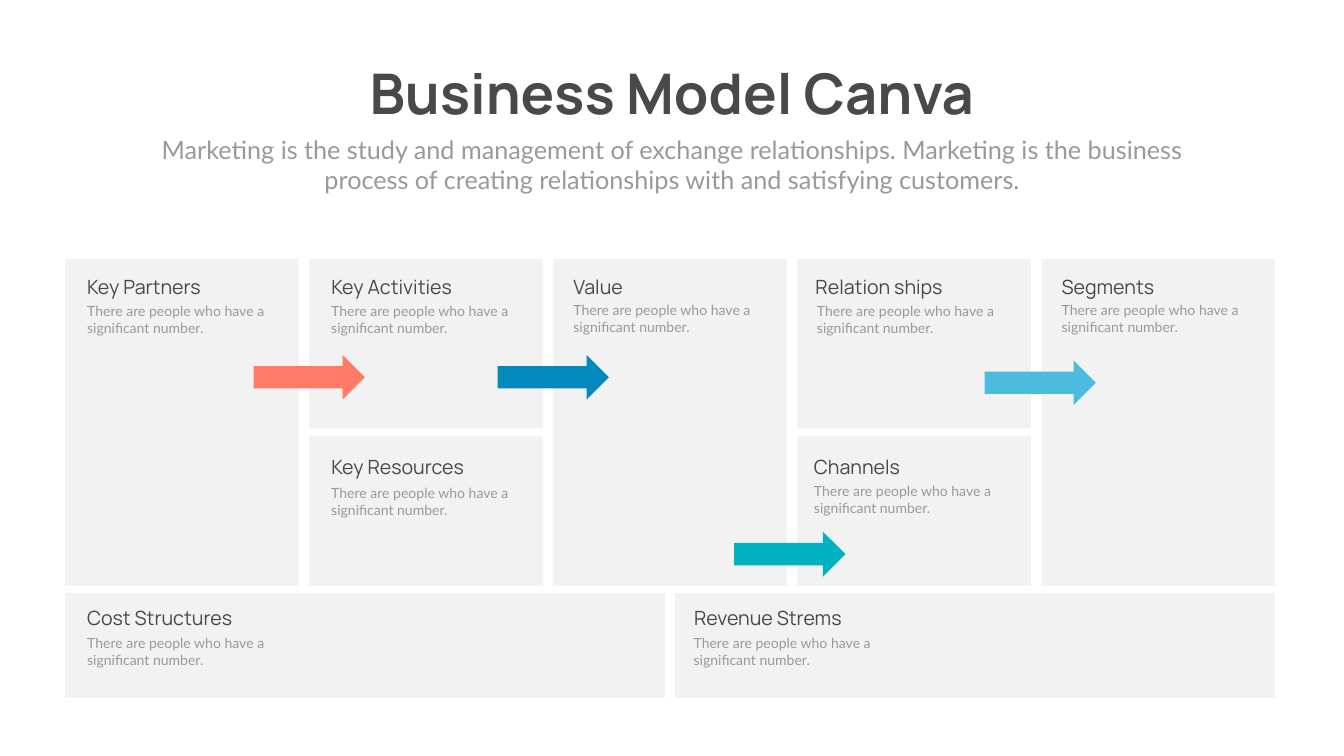
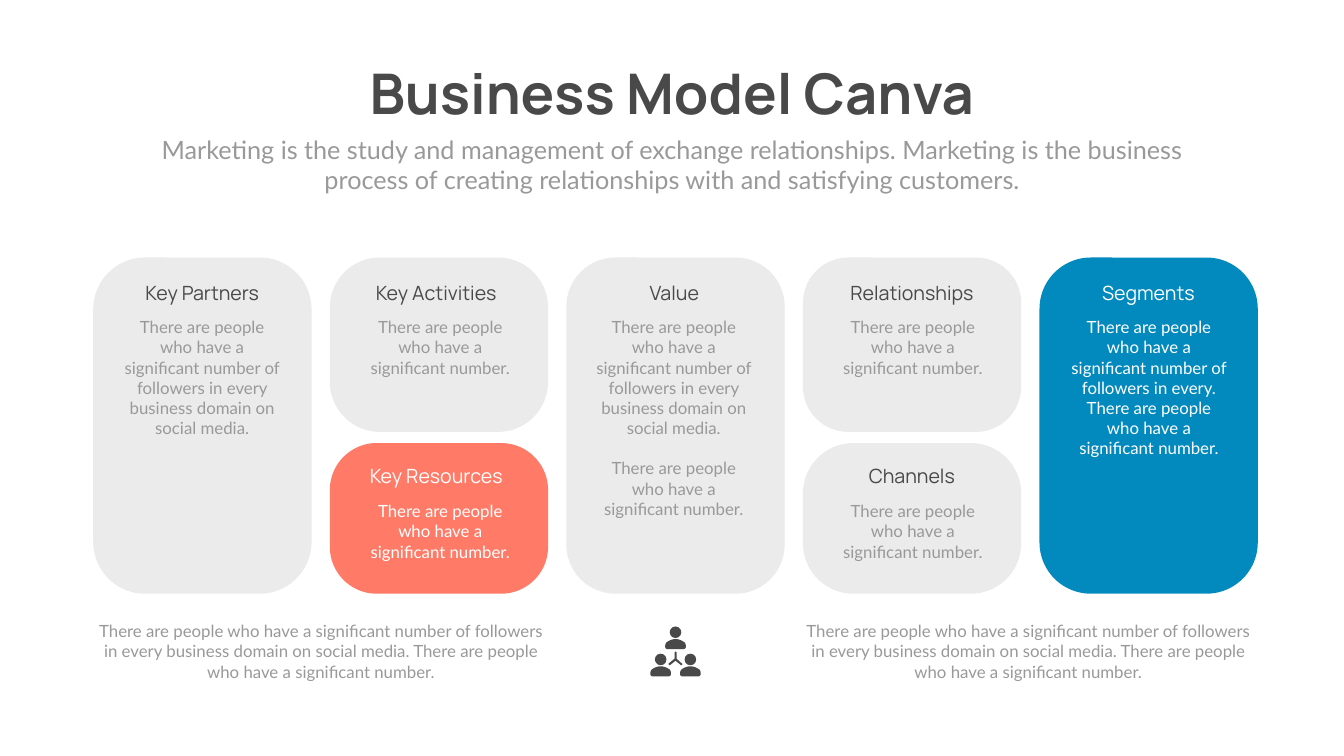
from pptx import Presentation
from pptx.dml.color import RGBColor
from pptx.enum.shapes import MSO_SHAPE
from pptx.enum.text import MSO_AUTO_SIZE, PP_ALIGN
from pptx.util import Pt

PX = 9144  # EMU per px, 100 px to the inch
COLORS = {
    "white": "FFFFFF", "dark": "494949", "grey": "999999",
    "panel": "F2F2F2", "card": "EBEBEB", "coral": "FF7A67",
    "blue": "0289BD", "teal": "01B2C0", "sky": "4BBBDF",
}
HEADING_FONT, BODY_FONT = "Manrope", "Lato"
COLUMNS = 5

HEADLINE = "Business Model Canva"
INTRO = ("Marketing is the study and management of exchange relationships. Marketing is "
         "the business process of creating relationships with and satisfying customers.")
SHORT = "There are people who have a significant number."
LONG = ("There are people who have a significant number of followers "
        "in every business domain on social media.")
SEGMENT_TEXT = ("There are people who have a significant number of followers in every. " + SHORT)

# Row span: (top, height) within the canvas
PANEL_ROWS = {"full": (0, 648), "upper": (0, 336), "lower": (352, 296)}
CARD_ROWS = {"full": (0, 667), "upper": (0, 346), "lower": (368, 299)}

# column, row, title, title left, title top, title width, body left, body top
PANELS = [
    (0, "full", "Key Partners", 34, 27, 302, 34, 82),
    (1, "upper", "Key Activities", 34, 27, 345, 34, 82),
    (1, "lower", "Key Resources", 34, 32, 348, 34, 90),
    (2, "full", "Value", 30, 27, 239, 30, 79),
    (3, "upper", "Relation ships", 26, 27, 345, 29, 82),
    (3, "lower", "Channels", 23, 32, 241, 23, 87),
    (4, "full", "Segments", 30, 27, 239, 30, 79),
]
# title, title left, body left
FOOT_PANELS = [("Cost Structures", 34, 34), ("Revenue Strems", 28, 27)]
# left and top within the canvas, colour
ARROWS = [(374, 190, "coral"), (858, 190, "blue"), (1327, 541, "teal"), (1824, 201, "sky")]

# column, row, title, paragraphs, fill, corner
CARDS = [
    (0, "full", "Key Partners", [LONG], "card", 0.237),
    (1, "upper", "Key Activities", [SHORT], "card", 0.287),
    (1, "lower", "Key Resources", [SHORT], "coral", 0.312),
    (2, "full", "Value", [LONG, SHORT], "card", 0.225),
    (3, "upper", "Relationships", [SHORT], "card", 0.26),
    (3, "lower", "Channels", [SHORT], "card", 0.335),
    (4, "full", "Segments", [SEGMENT_TEXT], "blue", 0.235),
]
# Title and body left within a card, by column
CARD_INSETS = [(64, 51), (59, 54), (62, 48), (64, 53), (64, 52)]

# Outlines: a start, then lines (one point) and curves (three points)
TORSO = [
    [(5, 20)], [(36, 20)], [(39, 20), (41, 18), (41, 15)], [(41, 14)],
    [(41, 10), (39, 6), (36, 5)], [(33, 3), (27, 0), (20.5, 0)],
    [(14, 0), (8, 3), (5, 5)], [(2, 6), (0, 10), (0, 14)], [(0, 15)],
    [(0, 18), (2, 20), (5, 20)],
]
LINK = [
    [(25, 27)], [(26, 27), (26, 26), (27, 26)], [(28, 25), (27, 23), (26, 23)],
    [(16, 14)], [(16, 2)], [(16, 1), (15, 0), (14, 0)], [(13, 0), (12, 1), (12, 2)],
    [(12, 14)], [(1, 23)], [(0, 23), (0, 25), (1, 26)], [(1, 26), (2, 27), (3, 27)],
    [(3, 27), (4, 26), (4, 26)], [(14, 18)], [(24, 26)], [(24, 26), (24, 27), (25, 27)],
]


def emu(*lengths):
    return [round(length * PX) for length in lengths]


def paint(shape, color):
    shape.shadow.inherit = False
    shape.fill.solid()
    shape.fill.fore_color.rgb = RGBColor.from_string(COLORS[color])
    shape.line.fill.background()


def add_block(slide, kind, box, color, corner=None):
    block = slide.shapes.add_shape(kind, *emu(*box))
    paint(block, color)
    if corner is not None:
        block.adjustments[0] = corner


def add_text(slide, box, paragraphs, size, font, color, align=PP_ALIGN.LEFT,
             bold=False, wrap=True):
    frame = slide.shapes.add_textbox(*emu(*box)).text_frame
    frame.word_wrap = wrap
    frame.auto_size = MSO_AUTO_SIZE.SHAPE_TO_FIT_TEXT
    frame.text = "\n".join(paragraphs)
    for index, paragraph in enumerate(frame.paragraphs):
        paragraph.alignment = align
        if index:
            paragraph.space_before = Pt(size * 1.2)
        for run in paragraph.runs:
            run.font.size, run.font.name, run.font.bold = Pt(size), font, bold
            run.font.color.rgb = RGBColor.from_string(COLORS[color])


def add_heading(slide, box, title, color="dark", align=PP_ALIGN.LEFT):
    add_text(slide, box, [title], 28, HEADING_FONT, color, align)


def add_outline(slide, left, top, outline, color):
    points = []
    for segment in outline:
        if len(segment) == 1:
            points += segment
            continue
        controls = [points[-1], *segment]
        for step in range(1, 7):
            t = step / 6
            weights = ((1 - t) ** 3, 3 * t * (1 - t) ** 2, 3 * t * t * (1 - t), t ** 3)
            points.append(tuple(sum(w * c[axis] for w, c in zip(weights, controls))
                                for axis in (0, 1)))
    start, *rest = [emu(left + x, top + y) for x, y in points]
    builder = slide.shapes.build_freeform(*start)
    builder.add_line_segments(rest, close=True)
    paint(builder.convert_to_shape(), color)


def cell_box(canvas, width, rows, column, row):
    left, top, canvas_width = canvas
    row_top, height = rows[row]
    step = (canvas_width - width) / (COLUMNS - 1)
    return left + column * step, top + row_top, width, height


def add_header(slide, left, top):
    add_text(slide, (left + 381, top, 1320, 145), [HEADLINE], 80, HEADING_FONT, "dark",
             PP_ALIGN.CENTER, bold=True, wrap=False)
    add_text(slide, (left, top + 149, 2082, 131), [INTRO], 36, BODY_FONT, "grey",
             PP_ALIGN.CENTER)


def add_panel(slide, box, title, title_left, title_top, title_width,
              body_left, body_top, body_width):
    left, top = box[:2]
    add_block(slide, MSO_SHAPE.ROUNDED_RECTANGLE, box, "panel", 0)
    add_heading(slide, (left + title_left, top + title_top, title_width, 56), title)
    add_text(slide, (left + body_left, top + body_top, body_width, 77), [SHORT],
             20, BODY_FONT, "grey")


def add_panel_canvas(slide, canvas):
    left, top, width = canvas
    for column, row, *content in PANELS:
        add_panel(slide, cell_box(canvas, 463, PANEL_ROWS, column, row), *content, 384)
    # Two wide panels along the bottom
    for index, (title, title_left, body_left) in enumerate(FOOT_PANELS):
        box = (left + index * (width - 1190), top + 663, 1190, 207)
        add_panel(slide, box, title, title_left, 21, 380, body_left, 77, 435)
    # Arrows across the gaps
    for arrow_left, arrow_top, color in ARROWS:
        add_block(slide, MSO_SHAPE.RIGHT_ARROW,
                  (left + arrow_left, top + arrow_top, 221, 89), color)


def add_card_canvas(slide, canvas):
    for column, row, title, paragraphs, fill, corner in CARDS:
        box = cell_box(canvas, 433, CARD_ROWS, column, row)
        left, top = box[:2]
        title_left, body_left = CARD_INSETS[column]
        title_top, body_top = (36, 110) if row == "lower" else (41, 113)
        title_color, body_color = ("dark", "grey") if fill == "card" else ("white", "white")
        add_block(slide, MSO_SHAPE.ROUNDED_RECTANGLE, box, fill, corner)
        add_heading(slide, (left + title_left, top + title_top, 304, 57), title,
                    title_color, PP_ALIGN.CENTER)
        add_text(slide, (left + body_left, top + body_top, 330, 131), paragraphs,
                 24, BODY_FONT, body_color, PP_ALIGN.CENTER)


def add_team_icon(slide, left, top):
    for person_left, person_top in [(29.5, 0), (0, 54), (59, 54)]:
        x, y = left + person_left, top + person_top
        add_block(slide, MSO_SHAPE.OVAL, (x + 9, y, 23, 23), "dark")
        add_outline(slide, x, y + 25, TORSO, "dark")
    add_outline(slide, left + 36, top + 50, LINK, "dark")


def add_notes_row(slide, left, top):
    for note_left in (left, left + 1403):
        add_text(slide, (note_left, top, 901, 131), [f"{LONG} {SHORT}"], 24, BODY_FONT,
                 "grey", PP_ALIGN.CENTER)
    add_team_icon(slide, left + 1104, top + 16)


def add_slide(deck):
    slide = deck.slides.add_slide(deck.slide_layouts[6])
    slide.background.fill.solid()
    slide.background.fill.fore_color.rgb = RGBColor.from_string(COLORS["white"])
    add_header(slide, 292, 112)
    return slide


def main():
    deck = Presentation()
    deck.slide_width, deck.slide_height = emu(2666, 1500)

    add_panel_canvas(add_slide(deck), (129, 514, 2400))

    card_slide = add_slide(deck)
    add_card_canvas(card_slide, (185, 511, 2310))
    add_notes_row(card_slide, 186, 1227)

    deck.save("out.pptx")


if __name__ == "__main__":
    main()
